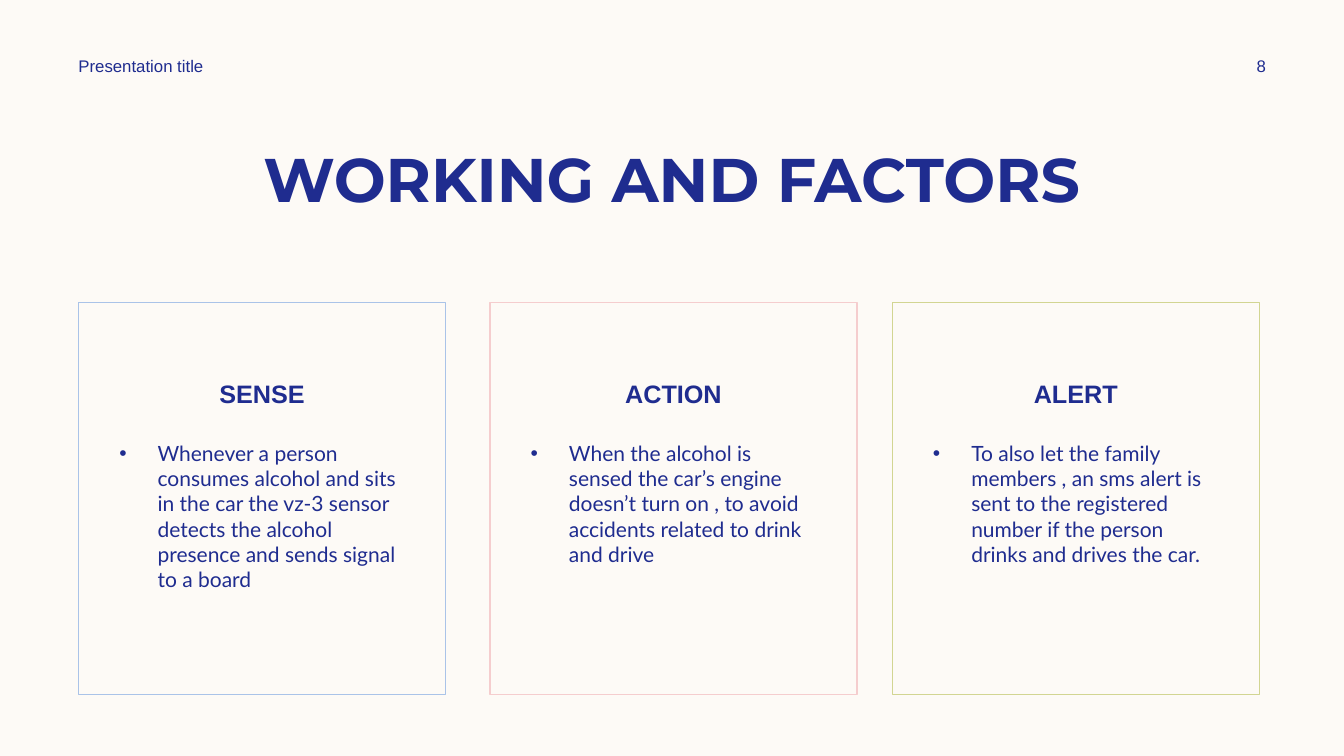
from lxml.etree import SubElement
from pptx import Presentation
from pptx.dml.color import RGBColor
from pptx.enum.shapes import MSO_SHAPE
from pptx.enum.text import MSO_ANCHOR, MSO_AUTO_SIZE, PP_ALIGN
from pptx.oxml.ns import qn
from pptx.util import Inches, Pt

COLORS = {
    "background": "FDFAF6",
    "ink": "1F2C8F",
    "sense": "AAC3E8",
    "action": "F5CDCE",
    "alert": "D2D592",
}
HEADER_TOP, HEADER_HEIGHT = 0.5, 0.3
CARD_TOP, CARD_WIDTH, CARD_HEIGHT = 3, 3.64, 3.89
DETAIL_TOP, DETAIL_WIDTH, DETAIL_HEIGHT = 4.32, 3.03, 2.41
DETAIL_INSET = (CARD_WIDTH - DETAIL_WIDTH) / 2
BULLET_INDENT = Inches(0.38)


def write(shape, text, font, align=PP_ALIGN.LEFT, anchor=MSO_ANCHOR.TOP, bullet=False):
    """Put one formatted paragraph into the shape."""
    frame = shape.text_frame
    frame_format = {"word_wrap": True, "auto_size": MSO_AUTO_SIZE.NONE, "vertical_anchor": anchor}
    for key, value in frame_format.items():
        setattr(frame, key, value)
    paragraph = frame.paragraphs[0]
    paragraph.alignment = align
    if bullet:
        properties = paragraph._p.get_or_add_pPr()
        properties.set("marL", str(BULLET_INDENT))
        properties.set("indent", str(-BULLET_INDENT))
        SubElement(properties, qn("a:buFont")).set("typeface", "Arial")
        SubElement(properties, qn("a:buChar")).set("char", "•")
    run = paragraph.add_run()
    run.text = text
    for key, value in font.items():
        setattr(run.font, key, value)
    run.font.color.rgb = RGBColor.from_string(COLORS["ink"])


presentation = Presentation()
presentation.slide_width = Inches(13.33)
presentation.slide_height = Inches(7.5)
slide = presentation.slides.add_slide(presentation.slide_layouts[5])
slide.background.fill.solid()
slide.background.fill.fore_color.rgb = RGBColor.from_string(COLORS["background"])

title = slide.shapes.title
title_place = {"left": 0.83, "top": 1.35, "width": 11.67, "height": 0.84}
for side, length in title_place.items():
    setattr(title, side, Inches(length))
write(title, "WORKING AND FACTORS",
      {"name": "Montserrat", "size": Pt(44), "bold": True}, PP_ALIGN.CENTER)

header_font = {"name": "Arial", "size": Pt(12)}
header = [
    ("Presentation title", 0.68, 3.5, PP_ALIGN.LEFT),
    ("8", 11.97, 1.08, PP_ALIGN.CENTER),
]
for text, left, width, align in header:
    label = slide.shapes.add_textbox(
        Inches(left), Inches(HEADER_TOP), Inches(width), Inches(HEADER_HEIGHT))
    write(label, text, header_font, align, MSO_ANCHOR.MIDDLE)

heading_font = {"name": "Arial", "size": Pt(18), "bold": True}
detail_font = {"name": "Lato", "size": Pt(15)}
steps = [
    ("sense", 0.78, "Whenever a person consumes alcohol and sits in the car the vz-3 "
     "sensor detects the alcohol presence and sends signal to a board"),
    ("action", 4.86, "When the alcohol is sensed the car’s engine doesn’t turn on , "
     "to avoid accidents related to drink and drive"),
    ("alert", 8.85, "To also let the family members , an sms alert is sent to the "
     "registered number if the person drinks and drives the car."),
]
for step, left, explanation in steps:
    card = slide.shapes.add_shape(
        MSO_SHAPE.RECTANGLE, Inches(left), Inches(CARD_TOP),
        Inches(CARD_WIDTH), Inches(CARD_HEIGHT))
    card.shadow.inherit = False
    card.fill.background()
    card.line.color.rgb = RGBColor.from_string(COLORS[step])
    card.line.width = Pt(1)
    card.text_frame.margin_top = Inches(0.75)
    write(card, step.upper(), heading_font, PP_ALIGN.CENTER)

    detail = slide.shapes.add_textbox(
        Inches(left + DETAIL_INSET), Inches(DETAIL_TOP),
        Inches(DETAIL_WIDTH), Inches(DETAIL_HEIGHT))
    write(detail, explanation, detail_font, bullet=True)

presentation.save("out.pptx")
